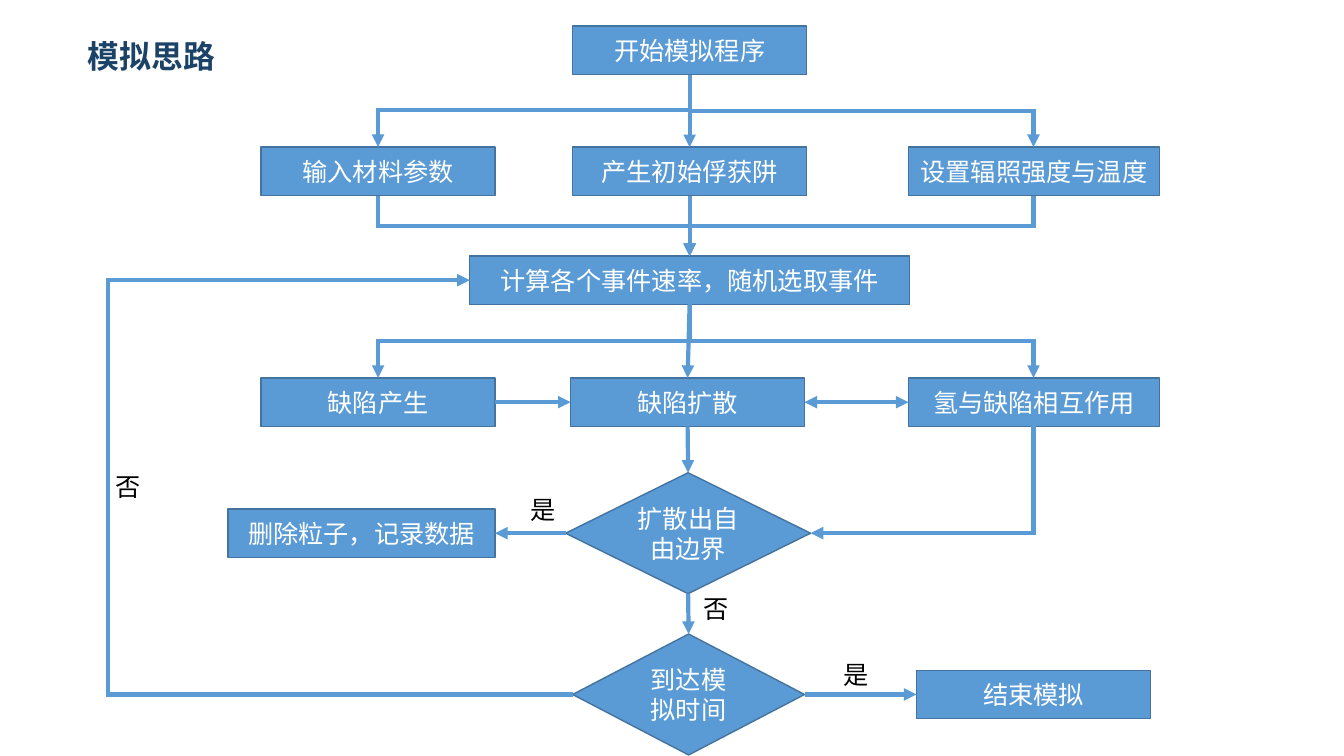
from dataclasses import dataclass
from typing import NamedTuple

from lxml.etree import SubElement
from pptx import Presentation
from pptx.dml.color import RGBColor
from pptx.enum.shapes import MSO_CONNECTOR as Connector, MSO_SHAPE as Preset
from pptx.enum.text import MSO_ANCHOR as Anchor, MSO_AUTO_SIZE as AutoSize, PP_ALIGN as Align
from pptx.oxml.ns import qn
from pptx.util import Emu, Pt

TOP, LEFT, BOTTOM, RIGHT = range(4)
BOX_HEIGHT, DIAMOND_HEIGHT = 48, 120
LABEL_WIDTH, LABEL_HEIGHT = 45, 40


@dataclass(frozen=True)
class Theme:
    font: str = "Noto Sans CJK SC"
    fill: str = "5B9BD5"
    outline: str = "43739E"
    title: str = "1B4367"
    box_text: str = "FFFFFF"
    label_text: str = "000000"
    title_size: float = 22.7
    text_size: float = 18
    outline_width: float = 1
    arrow_width: float = 3


class Step(NamedTuple):
    name: str
    text: str
    left: int
    top: int
    width: int
    decision: bool = False


class Link(NamedTuple):
    start: str
    start_side: int
    end: str
    end_side: int
    both_ways: bool = False


class Elbow(NamedTuple):
    """A bent arrow: one corner, or two when turn gives the share of the first leg."""
    start: tuple[int, int]
    end: tuple[int, int]
    vertical_first: bool = True
    turn: float | None = None
    arrow: bool = True


class Label(NamedTuple):
    text: str
    left: int
    top: int


THEME = Theme()

STEPS = [
    Step("start", "开始模拟程序", 568, 26, 232),
    Step("material", "输入材料参数", 259, 146, 232),
    Step("traps", "产生初始俘获阱", 568, 146, 232),
    Step("irradiation", "设置辐照强度与温度", 901, 146, 249),
    Step("rates", "计算各个事件速率，随机选取事件", 466, 254, 436),
    Step("creation", "缺陷产生", 259, 375, 232),
    Step("diffusion", "缺陷扩散", 566, 375, 232),
    Step("hydrogen", "氢与缺陷相互作用", 901, 375, 249),
    Step("boundary", "扩散出自由边界", 561, 469, 243, True),
    Step("remove", "删除粒子，记录数据", 226, 505, 265),
    Step("time", "到达模拟时间", 568, 629, 230, True),
    Step("finish", "结束模拟", 909, 665, 232),
]

LINKS = [
    Link("start", BOTTOM, "traps", TOP),
    Link("traps", BOTTOM, "rates", TOP),
    Link("rates", BOTTOM, "diffusion", TOP),
    Link("creation", RIGHT, "diffusion", LEFT),
    Link("diffusion", RIGHT, "hydrogen", LEFT, both_ways=True),
    Link("diffusion", BOTTOM, "boundary", TOP),
    Link("boundary", LEFT, "remove", RIGHT),
    Link("boundary", BOTTOM, "time", TOP),
    Link("time", RIGHT, "finish", LEFT),
]

ELBOWS = [
    Elbow((683, 109), (375, 146), vertical_first=False),
    Elbow((683, 110), (1025, 146), vertical_first=False),
    Elbow((375, 194), (684, 254), turn=0.5),
    Elbow((1025, 194), (684, 254), turn=0.5),
    Elbow((684, 302), (375, 375), turn=0.5),
    Elbow((684, 302), (1025, 375), turn=0.5),
    Elbow((1025, 423), (804, 529)),
    # The loop back swings out to the left of both its ends
    Elbow((568, 689), (466, 278), vertical_first=False, turn=4.52),
]

LABELS = [
    Label("是", 516, 486),
    Label("是", 827, 649),
    Label("否", 688, 584),
    Label("否", 105, 463),
]


def px(length: float) -> Emu:
    return Emu(round(length * 9144))


def write(shape, text: str, *, color: str, size: float = THEME.text_size, bold: bool = False,
          align: Align = Align.LEFT, anchor: Anchor = Anchor.TOP, wrap: bool = True) -> None:
    frame = shape.text_frame
    frame.word_wrap = wrap
    frame.auto_size = AutoSize.NONE
    frame.vertical_anchor = anchor
    paragraph = frame.paragraphs[0]
    paragraph.alignment = align
    run = paragraph.add_run()
    run.text = text
    font = run.font
    font.name, font.size, font.bold = THEME.font, Pt(size), bold
    font.color.rgb = RGBColor.from_string(color)
    SubElement(run._r.get_or_add_rPr(), qn("a:ea"), typeface=THEME.font)


def place_title(slide, text: str) -> None:
    title = slide.shapes.title
    title.left, title.top, title.width, title.height = map(px, (77, 31, 149, 48))
    write(title, text, color=THEME.title, size=THEME.title_size, bold=True)


def draw_step(slide, step: Step):
    preset = Preset.FLOWCHART_DECISION if step.decision else Preset.FLOWCHART_PROCESS
    height = DIAMOND_HEIGHT if step.decision else BOX_HEIGHT
    shape = slide.shapes.add_shape(preset, px(step.left), px(step.top), px(step.width), px(height))
    shape.shadow.inherit = False
    shape.fill.solid()
    shape.fill.fore_color.rgb = RGBColor.from_string(THEME.fill)
    shape.line.color.rgb = RGBColor.from_string(THEME.outline)
    shape.line.width = Pt(THEME.outline_width)
    write(shape, step.text, color=THEME.box_text, align=Align.CENTER, anchor=Anchor.MIDDLE)
    return shape


def style_arrow(connector, both_ways: bool = False) -> None:
    connector.line.color.rgb = RGBColor.from_string(THEME.fill)
    connector.line.width = Pt(THEME.arrow_width)
    properties = connector._element.spPr
    line = properties.find(qn("a:ln"))
    SubElement(line, qn("a:miter"), lim="800000")
    if both_ways:
        SubElement(line, qn("a:headEnd"), type="triangle")
    SubElement(line, qn("a:tailEnd"), type="triangle")
    SubElement(properties, qn("a:effectLst"))


def draw_link(slide, link: Link, shapes: dict) -> None:
    connector = slide.shapes.add_connector(Connector.STRAIGHT, 0, 0, 0, 0)
    connector.begin_connect(shapes[link.start], link.start_side)
    connector.end_connect(shapes[link.end], link.end_side)
    style_arrow(connector, link.both_ways)


def draw_elbow(slide, elbow: Elbow) -> None:
    (x1, y1), (x2, y2) = elbow.start, elbow.end
    connector = slide.shapes.add_connector(Connector.ELBOW, px(x1), px(y1), px(x2), px(y2))
    properties = connector._element.spPr
    geometry = properties.find(qn("a:prstGeom"))
    if elbow.turn is None:
        geometry.set("prst", "bentConnector2")
    else:
        guides = geometry.find(qn("a:avLst"))
        SubElement(guides, qn("a:gd"), name="adj1", fmla=f"val {round(elbow.turn * 100000)}")
    if elbow.vertical_first:
        # Lay the frame on its side about the same centre; all of these run downwards
        across, down = abs(x2 - x1), y2 - y1
        connector.left, connector.top = px((x1 + x2 - down) / 2), px((y1 + y2 - across) / 2)
        connector.width, connector.height = px(down), px(across)
        rightwards = x2 > x1
        frame = properties.find(qn("a:xfrm"))
        frame.set("rot", str((270 if rightwards else 90) * 60000))
        frame.set("flipH", "1" if rightwards else "0")
    style_arrow(connector)


def draw_label(slide, label: Label) -> None:
    box = slide.shapes.add_textbox(px(label.left), px(label.top), px(LABEL_WIDTH), px(LABEL_HEIGHT))
    write(box, label.text, color=THEME.label_text, wrap=False)


def main() -> None:
    presentation = Presentation()
    presentation.slide_width, presentation.slide_height = px(1333), px(750)
    slide = presentation.slides.add_slide(presentation.slide_layouts[5])
    place_title(slide, "模拟思路")
    shapes = {step.name: draw_step(slide, step) for step in STEPS}
    for link in LINKS:
        draw_link(slide, link, shapes)
    for elbow in ELBOWS:
        draw_elbow(slide, elbow)
    for label in LABELS:
        draw_label(slide, label)
    presentation.save("out.pptx")


if __name__ == "__main__":
    main()
